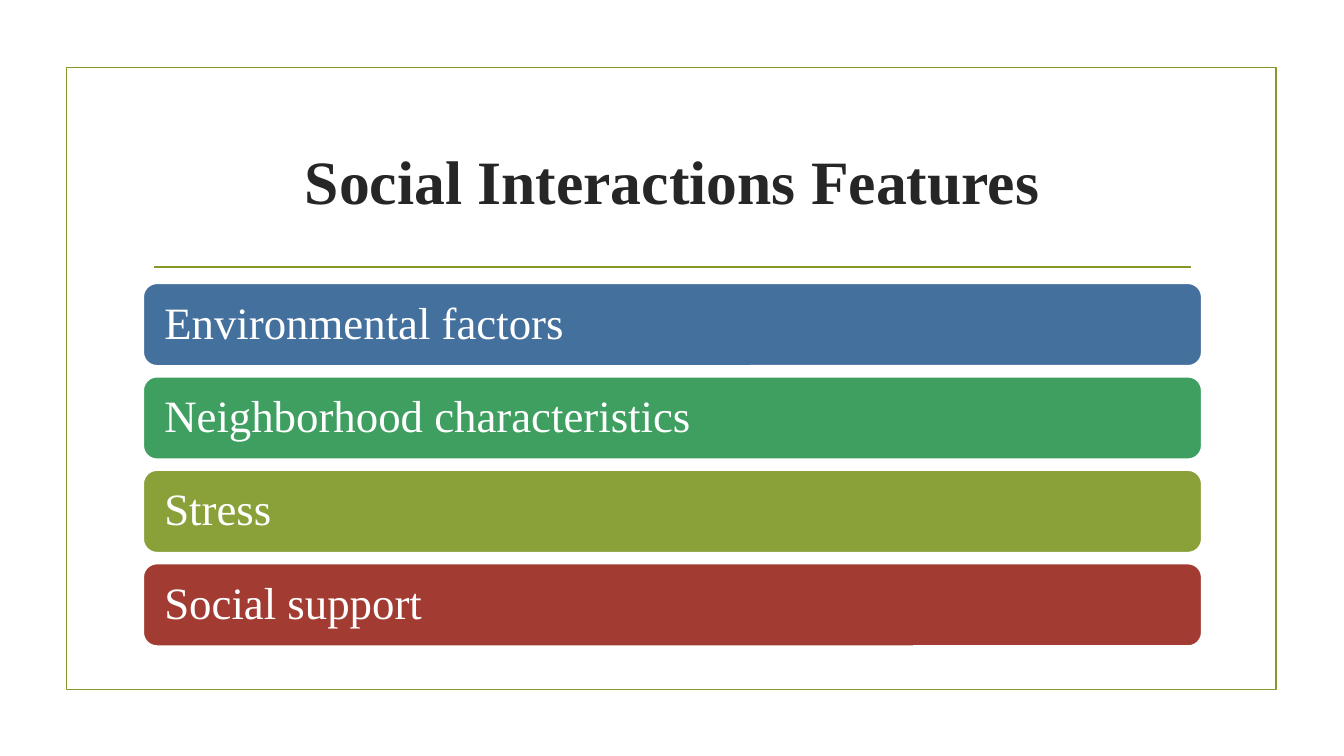
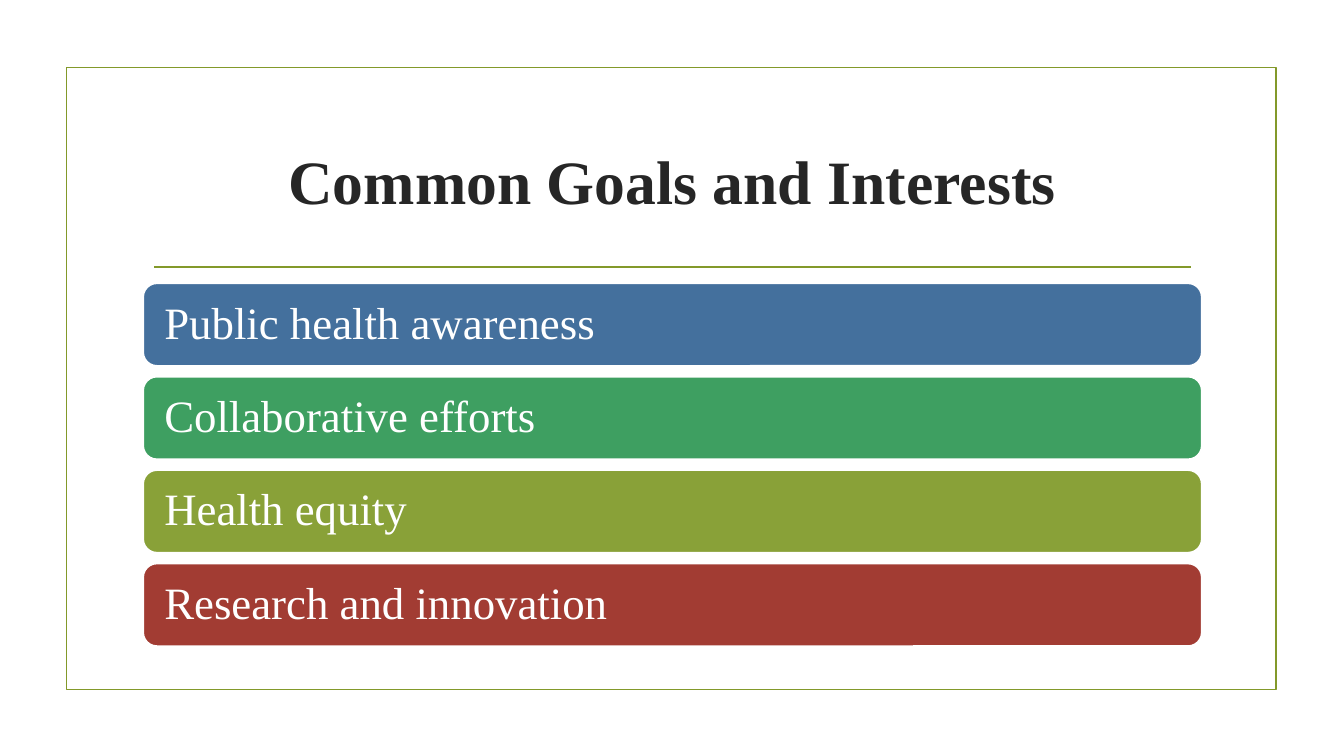
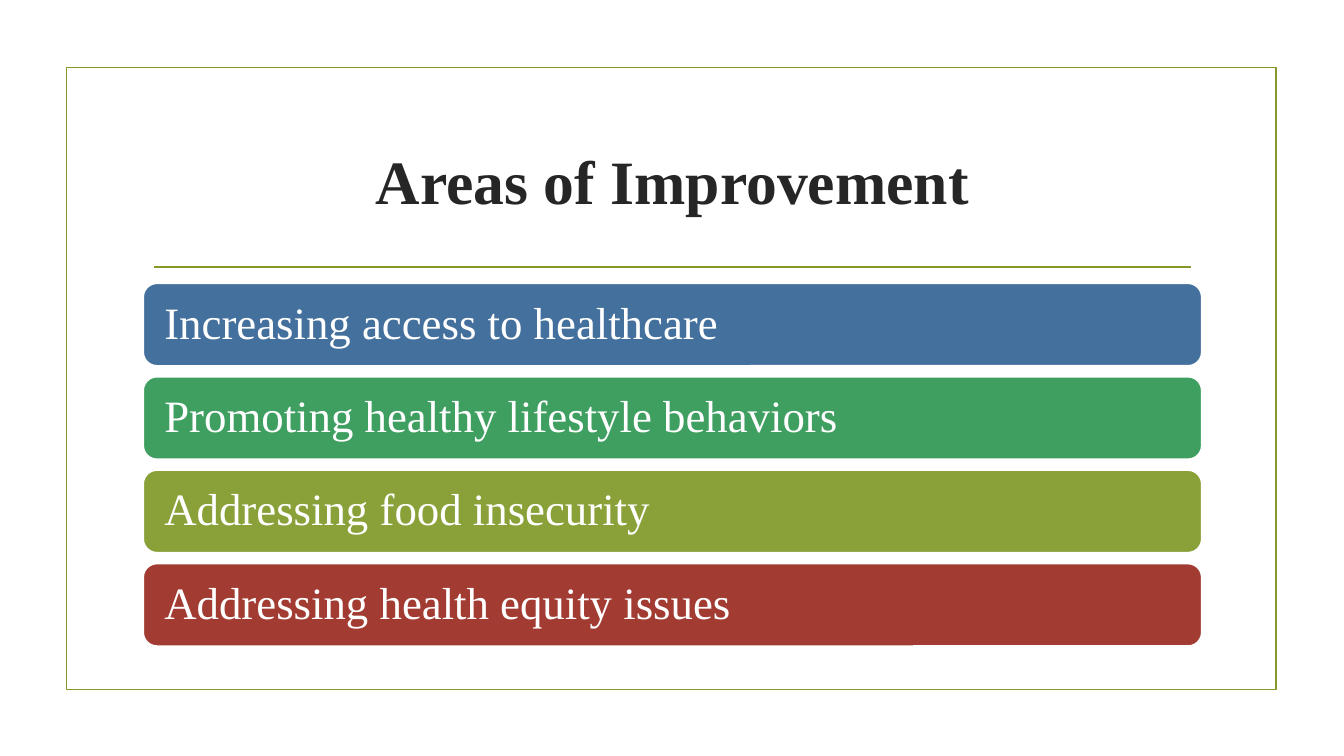
"""Build three slides that each list four coloured bars under a framed title."""
from dataclasses import dataclass

from lxml.etree import SubElement
from pptx import Presentation
from pptx.dml.color import RGBColor
from pptx.enum.shapes import MSO_CONNECTOR as Connector, MSO_SHAPE as Shape
from pptx.enum.text import MSO_ANCHOR as Anchor, MSO_AUTO_SIZE as AutoSize, PP_ALIGN as Align
from pptx.oxml.ns import qn
from pptx.util import Inches, Pt

SLIDES = [
    ("Social Interactions Features",
     ["Environmental factors", "Neighborhood characteristics", "Stress", "Social support"]),
    ("Common Goals and Interests",
     ["Public health awareness", "Collaborative efforts", "Health equity",
      "Research and innovation"]),
    ("Areas of Improvement",
     ["Increasing access to healthcare", "Promoting healthy lifestyle behaviors",
      "Addressing food insecurity", "Addressing health equity issues"]),
]


@dataclass(frozen=True)
class Theme:
    font: str = "Times New Roman"
    title_size: int = 44
    bar_size: int = 32
    line_width: float = 1.25
    accent: str = "83992A"
    ink: str = "262626"
    white: str = "FFFFFF"
    bars: tuple = ("44709D", "3E9F61", "89A138", "A23C33")


THEME = Theme()
LEFT, WIDTH = 1.42, 10.5
TITLE_TOP, TITLE_HEIGHT = 1.07, 1.43
RULE_START, RULE_END, RULE_TOP = 1.53, 11.81, 2.65
BAR_TOP, BAR_HEIGHT, BAR_BOTTOM = 2.81, 0.82, 6.41
BAR_INSET = 0.17


def write(shape, text, *, size, color, bold=False, align=Align.LEFT, inset=0.1, spacing=1.0):
    frame = shape.text_frame
    frame.word_wrap = True
    frame.auto_size = AutoSize.NONE
    frame.vertical_anchor = Anchor.MIDDLE
    frame.margin_left = frame.margin_right = Inches(inset)
    para = frame.paragraphs[0]
    para.alignment = align
    para.line_spacing = spacing
    span = para.add_run()
    span.text = text
    span.font.name = THEME.font
    span.font.size = Pt(size)
    span.font.bold = bold
    span.font.color.rgb = RGBColor.from_string(color)


def outline(shape, color):
    shape.line.color.rgb = RGBColor.from_string(color)
    shape.line.width = Pt(THEME.line_width)


def add_box(slide, kind, left, top, width, height, *, line, fill=None):
    box = slide.shapes.add_shape(
        kind, Inches(left), Inches(top), Inches(width), Inches(height))
    box.shadow.inherit = False
    outline(box, line)
    if fill:
        box.fill.solid()
        box.fill.fore_color.rgb = RGBColor.from_string(fill)
    else:
        box.fill.background()
    return box


def dress_layout(layout, slide):
    """Draw the frame and rule once and move them onto the shared layout."""
    title = layout.placeholders[0]
    title.left, title.top = Inches(LEFT), Inches(TITLE_TOP)
    title.width, title.height = Inches(WIDTH), Inches(TITLE_HEIGHT)
    border = add_box(slide, Shape.RECTANGLE, 0.66, 0.67, 12, 6.17, line=THEME.accent)
    rule = slide.shapes.add_connector(
        Connector.STRAIGHT, Inches(RULE_START), Inches(RULE_TOP),
        Inches(RULE_END), Inches(RULE_TOP))
    outline(rule, THEME.accent)
    SubElement(rule.element.spPr, qn("a:effectLst"))
    for order, shape in enumerate((border, rule)):
        shape.element.xpath(".//p:cNvPr")[0].set("id", str(100 + order))
        layout.shapes.element.insert(2 + order, shape.element)


def add_bars(slide, labels):
    step = (BAR_BOTTOM - BAR_TOP - BAR_HEIGHT) / (len(labels) - 1)
    for index, (label, color) in enumerate(zip(labels, THEME.bars)):
        bar = add_box(slide, Shape.ROUNDED_RECTANGLE, LEFT, BAR_TOP + index * step,
                      WIDTH, BAR_HEIGHT, line=THEME.white, fill=color)
        write(bar, label, size=THEME.bar_size, color=THEME.white,
              inset=BAR_INSET, spacing=0.9)


def main():
    deck = Presentation()
    deck.slide_width, deck.slide_height = Inches(13.33), Inches(7.5)
    layout = deck.slide_layouts.get_by_name("Title Only")
    for index, (heading, labels) in enumerate(SLIDES):
        slide = deck.slides.add_slide(layout)
        if index == 0:
            dress_layout(layout, slide)
        write(slide.shapes.title, heading, size=THEME.title_size, color=THEME.ink,
              bold=True, align=Align.CENTER)
        add_bars(slide, labels)
    deck.save("out.pptx")


if __name__ == "__main__":
    main()
